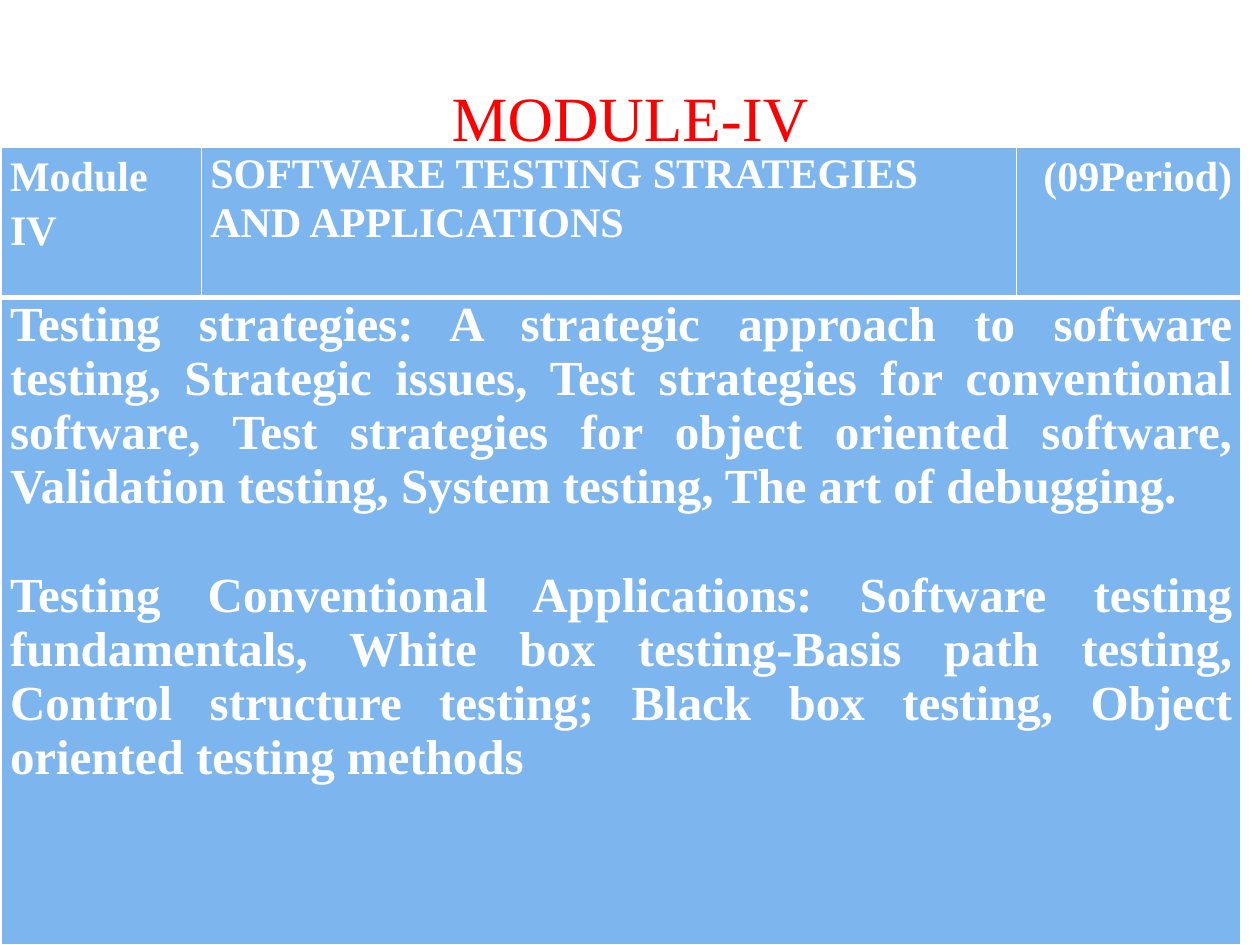
import pptx
import pptx.util
import pptx.dml.color
import pptx.enum.text
import pptx.oxml
import pptx.oxml.ns
from lxml import etree

Inches, Pt = pptx.util.Inches, pptx.util.Pt
ALIGN = pptx.enum.text.PP_ALIGN
FONT = "Times New Roman"
COLORS = {"title": "FF0000", "cell": "7DB6EF", "text": "FFFFFF", "border": "FFFFFF"}


def add_run(paragraph, text, size, color, bold=False):
    run = paragraph.add_run()
    run.text = text
    run.font.name = FONT
    run.font.size = Pt(size)
    run.font.bold = bold
    run.font.color.rgb = pptx.dml.color.RGBColor.from_string(COLORS[color])


def style_cell(cell, top, bottom):
    cell.margin_left = cell.margin_right = Inches(0.07)
    cell.margin_top = cell.margin_bottom = 0
    # Borders come before the fill in the cell properties
    properties = cell._tc.get_or_add_tcPr()
    for side, width in (("lnL", 1), ("lnR", 1), ("lnT", top), ("lnB", bottom)):
        line = etree.SubElement(properties, pptx.oxml.ns.qn(f"a:{side}"), w=str(Pt(width)))
        fill = etree.SubElement(line, pptx.oxml.ns.qn("a:solidFill"))
        etree.SubElement(fill, pptx.oxml.ns.qn("a:srgbClr"), val=COLORS["border"])
    cell.fill.solid()
    cell.fill.fore_color.rgb = pptx.dml.color.RGBColor.from_string(COLORS["cell"])


deck = pptx.Presentation()
deck.slide_width, deck.slide_height = Inches(10), Inches(7.5)
slide = deck.slides.add_slide(deck.slide_layouts[5])

# Title
title = slide.shapes.title
title.left, title.top = Inches(0.5), Inches(0.3)
title.width, title.height = Inches(9), Inches(1.25)
title.text_frame.vertical_anchor = pptx.enum.text.MSO_ANCHOR.MIDDLE
heading = title.text_frame.paragraphs[0]
heading.alignment = ALIGN.CENTER
add_run(heading, "MODULE-IV", 36, "title")

# Syllabus table
syllabus = slide.shapes.add_table(
    2, 3, Inches(0.01), Inches(1.17), Inches(9.84), Inches(6.33)).table
for column, width in zip(syllabus.columns, (1.59, 6.47, 1.78)):
    column.width = Inches(width)
for row, height in zip(syllabus.rows, (1.19, 5.14)):
    row.height = Inches(height)
syllabus.cell(1, 0).merge(syllabus.cell(1, 2))
for column in range(3):
    style_cell(syllabus.cell(0, column), 1, 3)
    style_cell(syllabus.cell(1, column), 3, 1)

# Header row: text, alignment, line spacing, space after
header = [
    ("Module IV", ALIGN.LEFT, 1.15, 6),
    ("SOFTWARE TESTING STRATEGIES AND APPLICATIONS", ALIGN.LEFT, 1.07, 0),
    ("(09Period)", ALIGN.RIGHT, 1.15, 6),
]
for column, (text, alignment, spacing, after) in enumerate(header):
    label = syllabus.cell(0, column).text_frame.paragraphs[0]
    label.alignment = alignment
    label.line_spacing = spacing
    label.space_after = Pt(after)
    add_run(label, text, 24, "text", bold=True)

# Topics
topics = [
    "Testing strategies: A strategic approach to software testing, Strategic issues, "
    "Test strategies for conventional software, Test strategies for object oriented "
    "software, Validation testing, System testing, The art of debugging.",
    "Testing Conventional Applications: Software testing fundamentals, White box "
    "testing-Basis path testing, Control structure testing; Black box testing, "
    "Object oriented testing methods",
]
topics_frame = syllabus.cell(1, 0).text_frame
for index, text in enumerate(topics):
    topic = topics_frame.add_paragraph() if index else topics_frame.paragraphs[0]
    topic.alignment = ALIGN.JUSTIFY
    if index:
        topic.space_before = Pt(31)
    add_run(topic, text, 28, "text", bold=True)

deck.save("out.pptx")
